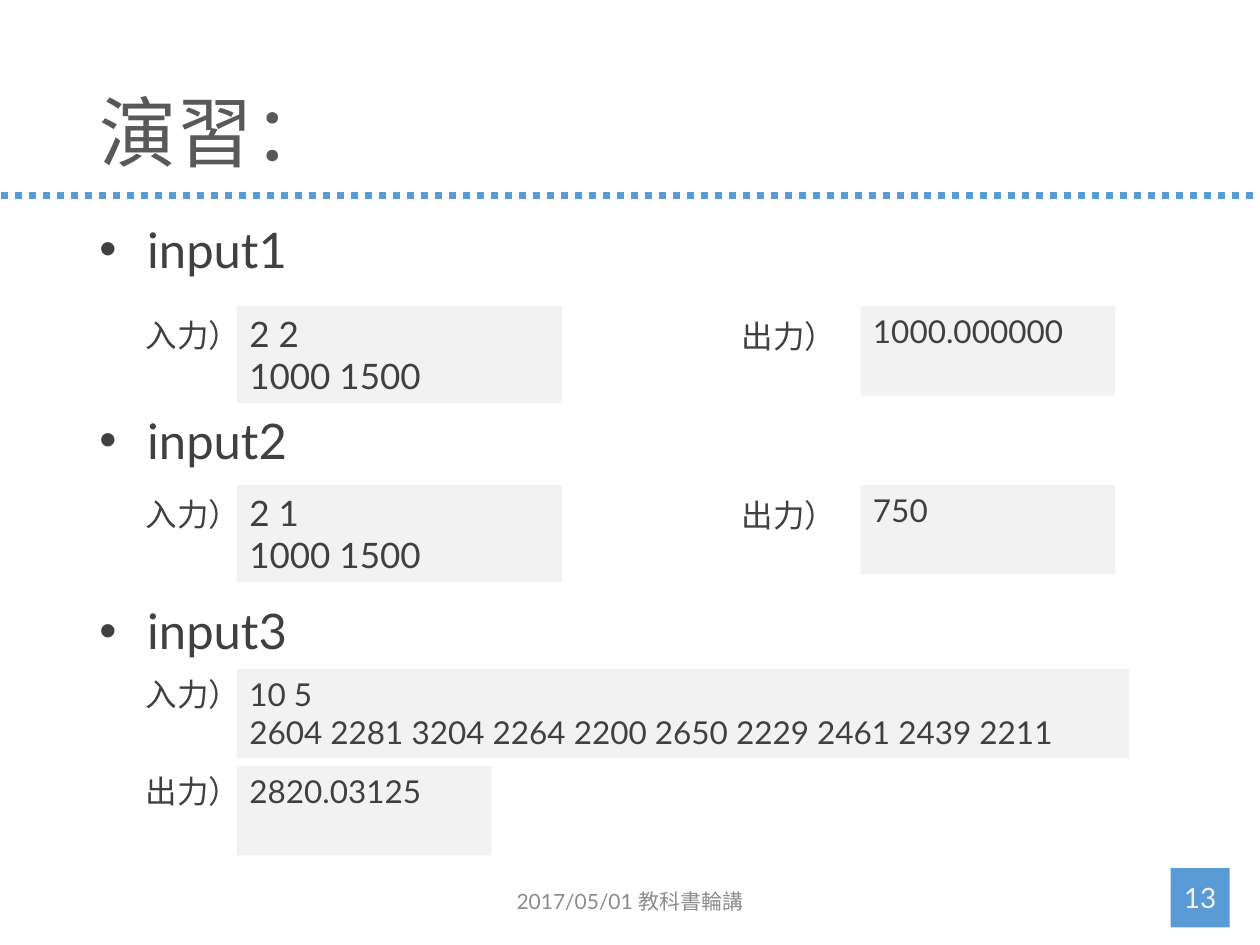
from dataclasses import dataclass

from lxml.etree import SubElement
from pptx import Presentation
from pptx.dml.color import RGBColor
from pptx.enum.dml import MSO_LINE
from pptx.enum.shapes import MSO_CONNECTOR, MSO_SHAPE
from pptx.enum.text import MSO_ANCHOR, PP_ALIGN
from pptx.oxml.ns import qn
from pptx.util import Inches, Pt


@dataclass(frozen=True)
class Theme:
    font: str = "Lato"
    accent: str = "5B9BD5"
    panel: str = "F2F2F2"
    title: str = "595959"
    body: str = "404040"
    footer: str = "8C8C8C"
    title_size: int = 44
    heading_size: int = 28
    large_size: int = 20
    body_size: int = 18
    number_size: int = 16
    footer_size: int = 12


THEME = Theme()

# Content
TITLE = "演習："
FOOTER = "2017/05/01 教科書輪講"
PAGE_NUMBER = "13"
INPUT_LABEL, OUTPUT_LABEL = "入力）", "出力）"
# heading, heading top, input panel top, input lines, output
SIDE_BY_SIDE = [
    ("input1", 1.69, 2.43, ["2 2", "1000 1500"], "1000.000000"),
    ("input2", 3.21, 3.85, ["2 1", "1000 1500"], "750"),
]
STACKED = ("input3", 4.72, 5.31,
           ["10 5", "2604 2281 3204 2264 2200 2650 2229 2461 2439 2211"], "2820.03125")

# Columns and sizes in inches
MARGIN, LABEL_LEFT, PANEL_LEFT = 0.69, 1.06, 1.88
OUTPUT_LABEL_LEFT, OUTPUT_LEFT = 5.79, 6.83
INPUT_SIZE, OUTPUT_SIZE, WIDE_SIZE = (2.58, 0.77), (2.02, 0.71), (7.08, 0.71)
STACK_STEP = 0.77
BULLET_INDENT = 0.38

presentation = Presentation()
presentation.slide_width, presentation.slide_height = Inches(10), Inches(7.5)
slide = presentation.slides.add_slide(presentation.slide_layouts[6])


def add_text(lines, left, top, width, height, size=THEME.body_size, color=THEME.body,
             fill=None, anchor=MSO_ANCHOR.TOP, align=PP_ALIGN.LEFT, bullet=False,
             line_spacing=None):
    """Add a text box, or a filled rectangle when a fill is given."""
    box = [Inches(value) for value in (left, top, width, height)]
    if fill:
        shape = slide.shapes.add_shape(MSO_SHAPE.RECTANGLE, *box)
        shape.shadow.inherit = False
        shape.fill.solid()
        shape.fill.fore_color.rgb = RGBColor.from_string(fill)
        shape.line.fill.background()
    else:
        shape = slide.shapes.add_textbox(*box)
    frame = shape.text_frame
    frame.word_wrap = True
    frame.vertical_anchor = anchor
    frame.text = "\n".join(lines)
    for paragraph in frame.paragraphs:
        paragraph.alignment = align
        paragraph.line_spacing = line_spacing
        font = paragraph.runs[0].font
        font.name, font.size = THEME.font, Pt(size)
        font.color.rgb = RGBColor.from_string(color)
        if bullet:
            properties = paragraph._p.get_or_add_pPr()
            properties.set("marL", str(Inches(BULLET_INDENT)))
            properties.set("indent", str(-Inches(BULLET_INDENT)))
            SubElement(properties, qn("a:buFont"), typeface="Arial")
            SubElement(properties, qn("a:buChar"), char="•")
    return shape


def add_heading(text, top):
    add_text([text], MARGIN, top, 2.25, 1.04, size=THEME.heading_size, bullet=True)


def add_label(text, left, top):
    add_text([text], left, top, 1.27, 0.4)


def add_panel(lines, left, top, panel_size, size=THEME.body_size):
    add_text(lines, left, top, *panel_size, size=size, fill=THEME.panel)


# Dotted rule under the title
rule = slide.shapes.add_connector(MSO_CONNECTOR.STRAIGHT, Inches(0.01), Inches(1.55),
                                  Inches(10.1), Inches(1.55))
rule.line.color.rgb = RGBColor.from_string(THEME.accent)
rule.line.width = Pt(4)
rule.line.dash_style = MSO_LINE.ROUND_DOT
SubElement(rule._element.spPr, qn("a:effectLst"))

# Title, footer and page number
add_text([TITLE], MARGIN, 0.01, 8.62, 1.45, size=THEME.title_size, color=THEME.title,
         anchor=MSO_ANCHOR.BOTTOM, line_spacing=0.9)
add_text([FOOTER], 3.31, 6.95, 3.38, 0.4, size=THEME.footer_size, color=THEME.footer,
         anchor=MSO_ANCHOR.MIDDLE, align=PP_ALIGN.CENTER)
number = add_text([PAGE_NUMBER], 9.29, 6.89, 0.47, 0.47, size=THEME.number_size,
                  color=THEME.panel, fill=THEME.accent, anchor=MSO_ANCHOR.MIDDLE,
                  align=PP_ALIGN.CENTER)
number.text_frame.margin_left = number.text_frame.margin_right = 0

# Examples with input and output side by side
for heading, heading_top, top, input_lines, output in SIDE_BY_SIDE:
    add_heading(heading, heading_top)
    add_panel(input_lines, PANEL_LEFT, top, INPUT_SIZE, size=THEME.large_size)
    add_panel([output], OUTPUT_LEFT, top, OUTPUT_SIZE)
    add_label(INPUT_LABEL, LABEL_LEFT, top + 0.03)
    add_label(OUTPUT_LABEL, OUTPUT_LABEL_LEFT, top + 0.04)

# Example with output below input
heading, heading_top, top, input_lines, output = STACKED
add_heading(heading, heading_top)
add_panel(input_lines, PANEL_LEFT, top, WIDE_SIZE)
add_panel([output], PANEL_LEFT, top + STACK_STEP, OUTPUT_SIZE)
for row, label in enumerate([INPUT_LABEL, OUTPUT_LABEL]):
    add_label(label, LABEL_LEFT, top + row * STACK_STEP)

presentation.save("out.pptx")
